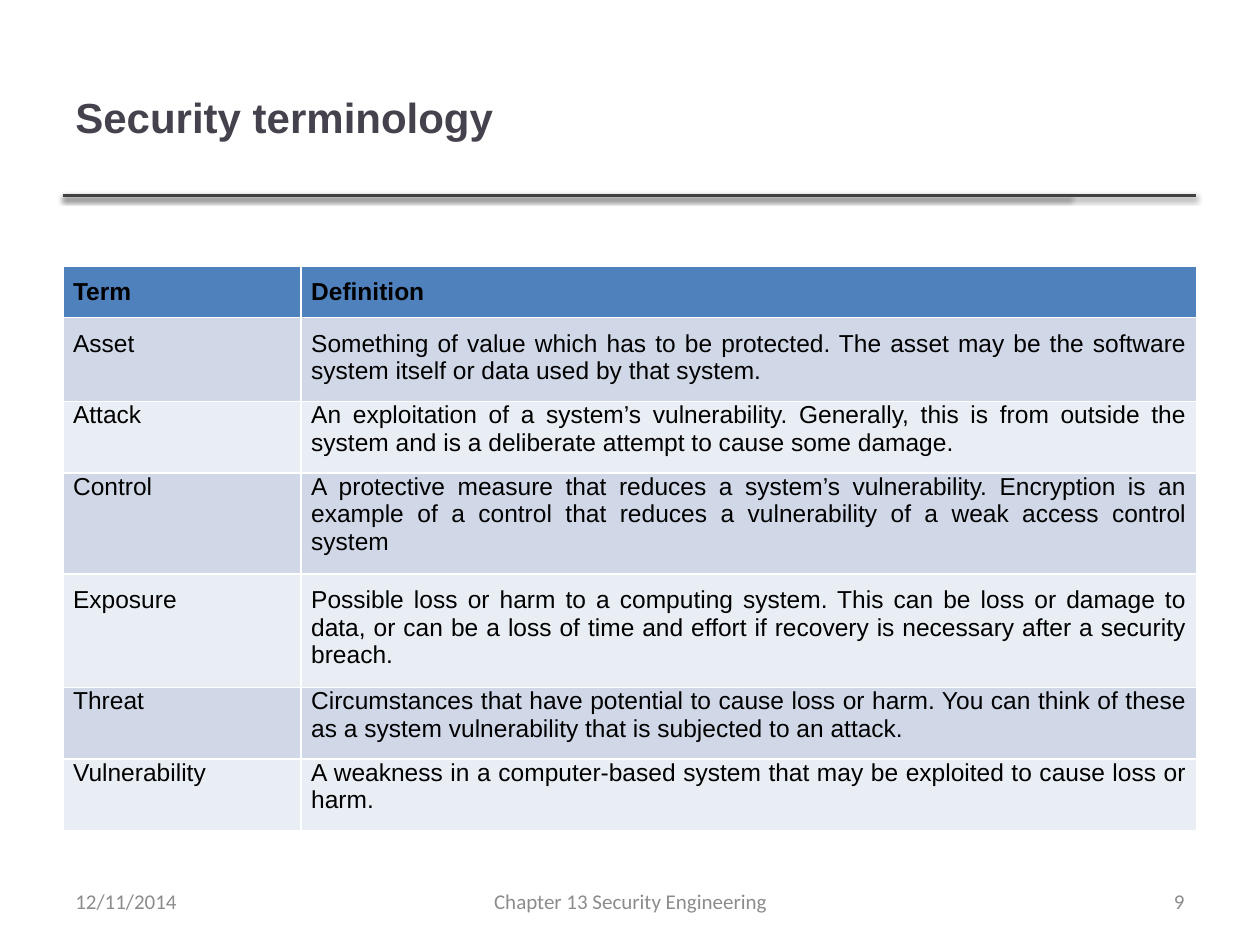
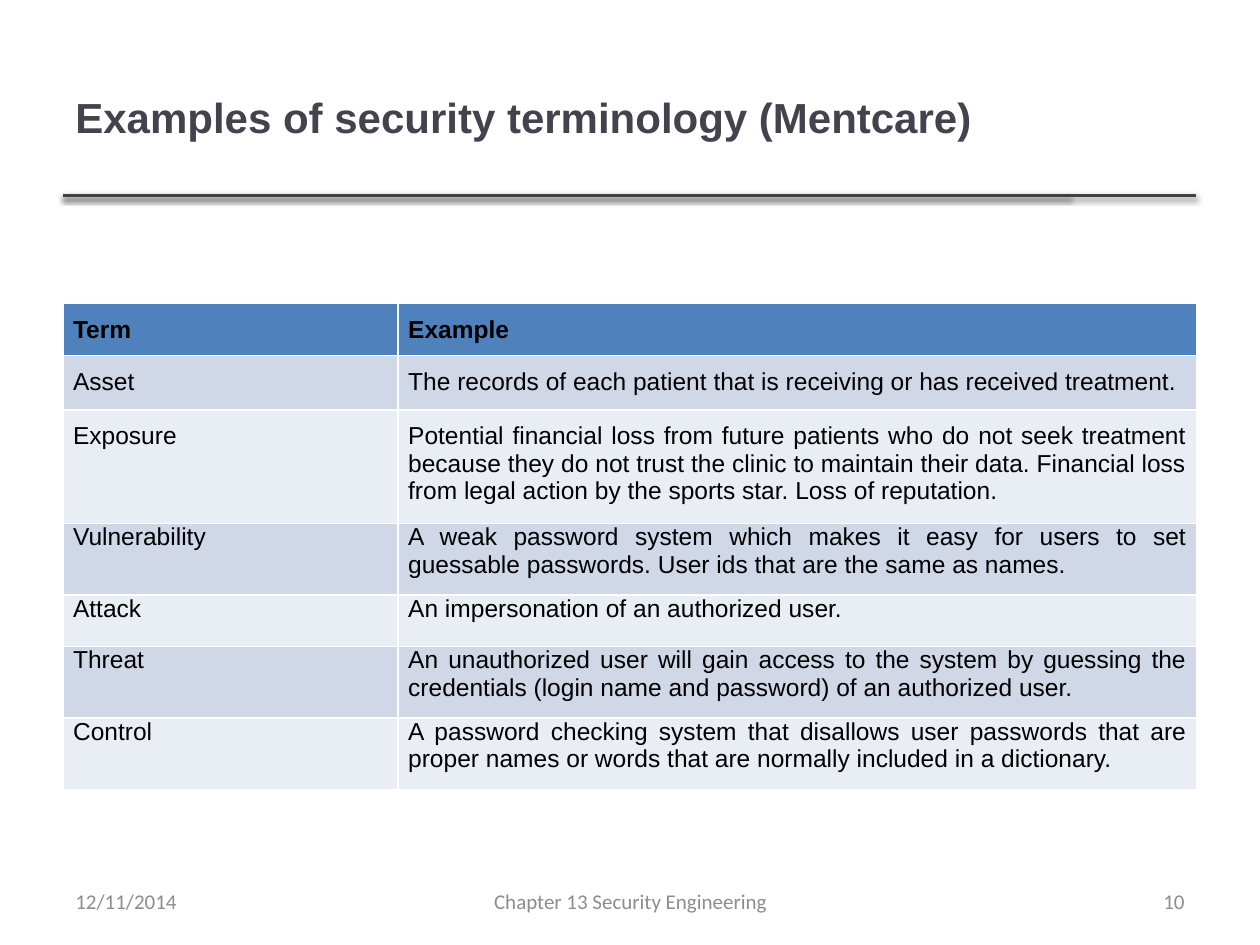
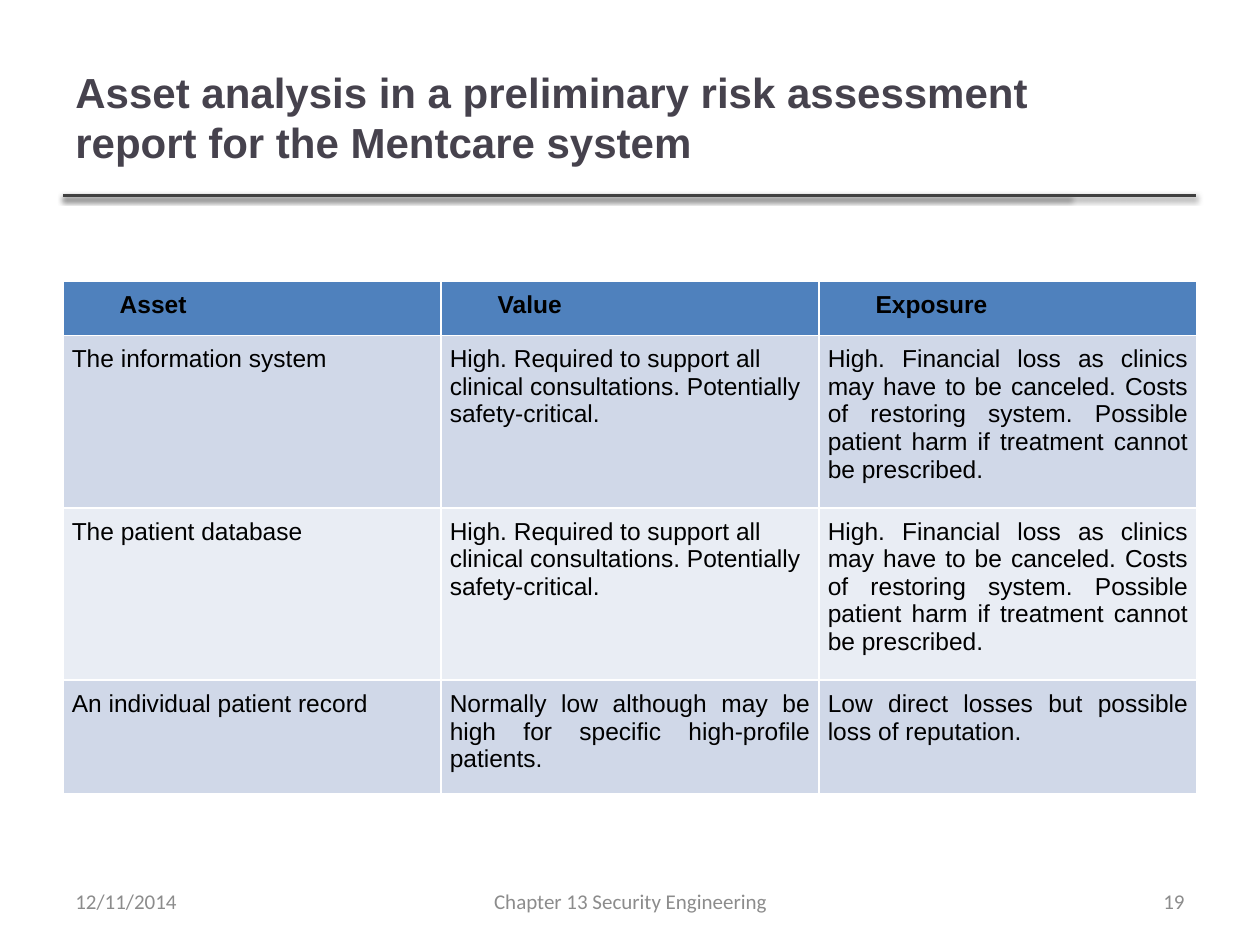
"""Build three slides of security terminology tables."""
from lxml import etree
from pptx import Presentation
from pptx import util as u
from pptx.dml import color
from pptx.enum import shapes, text

COLORS = {"title": "46424D", "rule": "404040", "footer": "8C8C8C", "text": "000000",
          "header": "4F81BD", "odd": "D0D8E8", "even": "E9EDF4"}
FORMATS = {"title": {"name": "Arial", "size": u.Pt(24), "bold": True},
           "footer": {"name": "Calibri", "size": u.Pt(12), "bold": False},
           "header": {"name": "Arial", "size": u.Pt(14), "bold": True},
           "body": {"name": "Arial", "size": u.Pt(14), "bold": False}}
LEFT, CENTER, RIGHT, JUSTIFY = (text.PP_ALIGN.LEFT, text.PP_ALIGN.CENTER,
                                text.PP_ALIGN.RIGHT, text.PP_ALIGN.JUSTIFY)
SHADOW = """<a:effectLst xmlns:a="http://schemas.openxmlformats.org/drawingml/2006/main">
<a:outerShdw blurRad="40000" dist="20000" dir="5400000" rotWithShape="0">
<a:srgbClr val="000000"><a:alpha val="38000"/></a:srgbClr></a:outerShdw></a:effectLst>"""
MARGIN = 0.5
ROW_HEIGHT = 0.41
PADDED_TERMS = {"Term", "Asset", "Exposure"}
EXPOSURE = ("High. Financial loss as clinics may have to be canceled. Costs of restoring "
            "system. Possible patient harm if treatment cannot be prescribed.")
SUPPORT = "High. Required to support all clinical consultations. Potentially safety-critical."

SLIDES = [
    {"title": "Security terminology", "number": 9, "top": 2.11, "columns": [1.89, 7.11],
     "rows": [
         ("Term", "Definition"),
         ("Asset", "Something of value which has to be protected. The asset may be the "
                   "software system itself or data used by that system."),
         ("Attack", "An exploitation of a system’s vulnerability. Generally, this is from "
                    "outside the system and is a deliberate attempt to cause some damage."),
         ("Control", "A protective measure that reduces a system’s vulnerability. Encryption "
                     "is an example of a control that reduces a vulnerability of a weak "
                     "access control system"),
         ("Exposure", "Possible loss or harm to a computing system. This can be loss or "
                      "damage to data, or can be a loss of time and effort if recovery is "
                      "necessary after a security breach."),
         ("Threat", "Circumstances that have potential to cause loss or harm. You can think "
                    "of these as a system vulnerability that is subjected to an attack."),
         ("Vulnerability", "A weakness in a computer-based system that may be exploited to "
                           "cause loss or harm.")]},
    {"title": "Examples of security terminology (Mentcare)", "number": 10, "top": 2.41,
     "columns": [2.66, 6.34],
     "rows": [
         ("Term", "Example"),
         ("Asset", "The records of each patient that is receiving or has received treatment."),
         ("Exposure", "Potential financial loss from future patients who do not seek treatment "
                      "because they do not trust the clinic to maintain their data. Financial "
                      "loss from legal action by the sports star. Loss of reputation."),
         ("Vulnerability", "A weak password system which makes it easy for users to set "
                           "guessable passwords. User ids that are the same as names."),
         ("Attack", "An impersonation of an authorized user."),
         ("Threat", "An unauthorized user will gain access to the system by guessing the "
                    "credentials (login name and password) of an authorized user."),
         ("Control", "A password checking system that disallows user passwords that are "
                     "proper names or words that are normally included in a dictionary.")]},
    {"title": "Asset analysis in a preliminary risk assessment report for the Mentcare system",
     "number": 19, "top": 2.23, "columns": [3, 3, 3],
     "rows": [
         ("Asset", "Value", "Exposure"),
         ("The information system", SUPPORT, EXPOSURE),
         ("The patient database", SUPPORT, EXPOSURE),
         ("An individual patient record",
          "Normally low although may be high for specific high-profile patients.",
          "Low direct losses but possible loss of reputation.")]},
]


def write(frame, words, style, hue, align):
    para = frame.paragraphs[0]
    para.alignment = align
    span = para.add_run()
    span.text = words
    for key, value in FORMATS[style].items():
        setattr(span.font, key, value)
    span.font.color.rgb = color.RGBColor.from_string(COLORS[hue])
    return para


def add_label(page, words, area, style, align):
    box = page.shapes.add_textbox(*map(u.Inches, area))
    box.text_frame.word_wrap = True
    box.text_frame.vertical_anchor = text.MSO_ANCHOR.MIDDLE
    write(box.text_frame, words, style, style, align)


deck = Presentation()
deck.slide_width, deck.slide_height = u.Inches(10), u.Inches(7.5)

for content in SLIDES:
    page = deck.slides.add_slide(deck.slide_layouts[6])

    for end in (8.49, 9.49):
        rule = page.shapes.add_connector(shapes.MSO_CONNECTOR.STRAIGHT, u.Inches(MARGIN),
                                         u.Inches(1.55), u.Inches(end), u.Inches(1.55))
        rule.line.width = u.Pt(2)
        rule.line.color.rgb = color.RGBColor.from_string(COLORS["rule"])
        rule._element.spPr.append(etree.fromstring(SHADOW))

    add_label(page, content["title"], (MARGIN, 0.3, 7.98, 1.25), "title", LEFT)

    rows, columns = content["rows"], content["columns"]
    wide = len(columns) == 3
    table = page.shapes.add_table(
        len(rows), len(columns), u.Inches(MARGIN), u.Inches(content["top"]),
        u.Inches(sum(columns)), u.Inches(ROW_HEIGHT * len(rows))).table
    for column, width in zip(table.columns, columns):
        column.width = u.Inches(width)
    for index, row in enumerate(rows):
        fill = "header" if index == 0 else "odd" if index % 2 else "even"
        if wide:
            side, top, bottom = 0.07, 0.08, 0.12
        else:
            side = 0.08
            top = 0.1 if row[0] in PADDED_TERMS else 0
            bottom = 0.1 if index else 0
        insets = {"margin_left": side, "margin_top": top,
                  "margin_right": side, "margin_bottom": bottom}
        for position, words in enumerate(row):
            cell = table.cell(index, position)
            for key, value in insets.items():
                setattr(cell, key, u.Inches(value))
            cell.fill.solid()
            cell.fill.fore_color.rgb = color.RGBColor.from_string(COLORS[fill])
            para = write(cell.text_frame, words, "body" if index else "header", "text",
                         LEFT if words == SUPPORT else JUSTIFY)
            if wide and index == 0:
                para._p.get_or_add_pPr().set("indent", str(u.Inches(0.38)))

    for words, left, width, align in (("12/11/2014", MARGIN, 2.33, LEFT),
                                      ("Chapter 13 Security Engineering", 3.42, 3.17, CENTER),
                                      (str(content["number"]), 7.17, 2.33, RIGHT)):
        add_label(page, words, (left, 6.95, width, 0.4), "footer", align)

deck.save("out.pptx")
